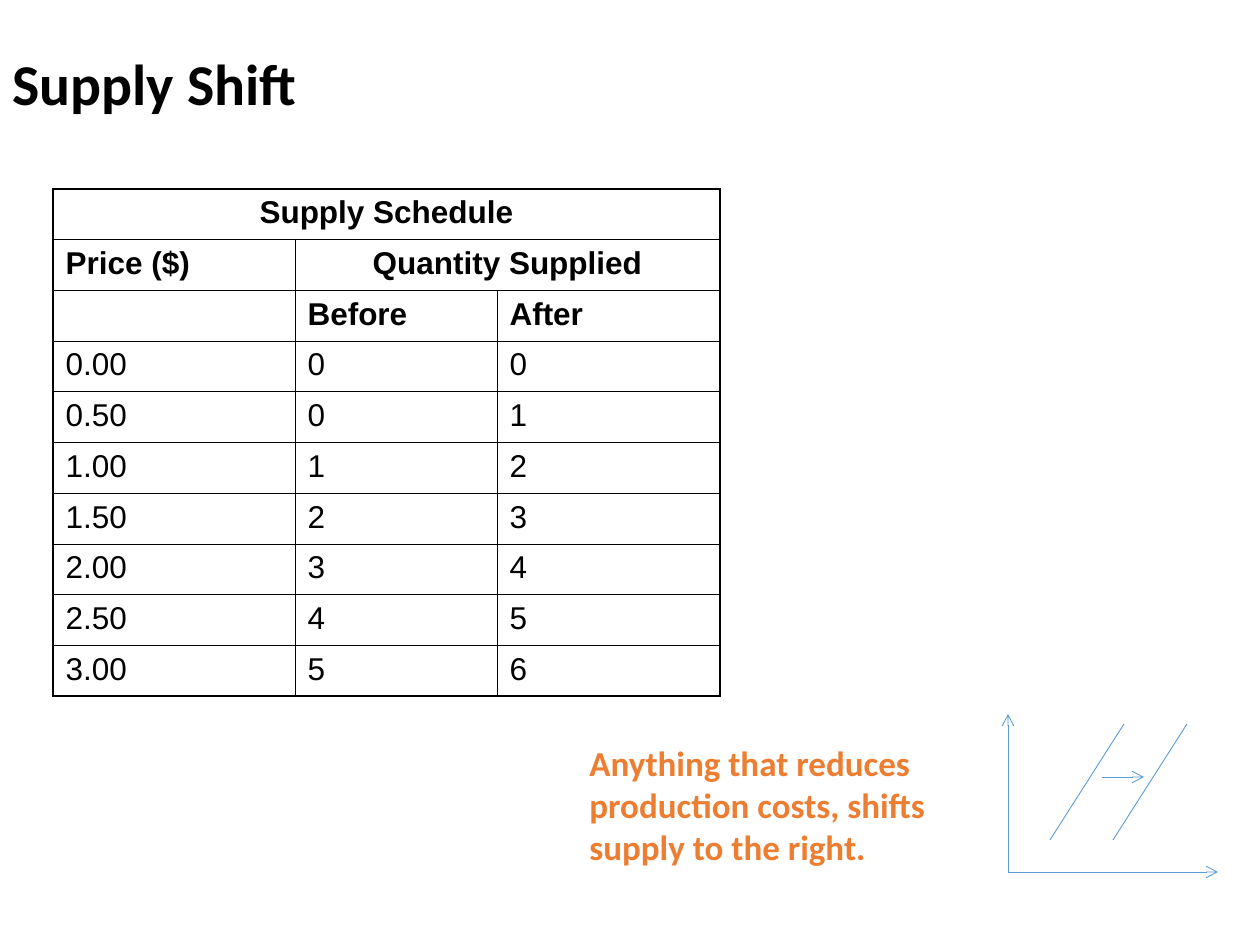
import pptx
import pptx.dml.color
import pptx.enum.shapes
import pptx.enum.text
import pptx.oxml.ns
import pptx.util
from lxml import etree

RGB = pptx.dml.color.RGBColor
BLACK = RGB(0x00, 0x00, 0x00)
ORANGE = RGB(0xED, 0x7D, 0x31)
BLUE = RGB(0x5B, 0x9B, 0xD5)
ALIGN = pptx.enum.text.PP_ALIGN
ANCHOR = pptx.enum.text.MSO_ANCHOR
SCALE = 914400 / 126

ROWS = [
    ["Supply Schedule", None, None],
    ["Price ($)", "Quantity Supplied", None],
    ["", "Before", "After"],
    ["0.00", "0", "0"],
    ["0.50", "0", "1"],
    ["1.00", "1", "2"],
    ["1.50", "2", "3"],
    ["2.00", "3", "4"],
    ["2.50", "4", "5"],
    ["3.00", "5", "6"],
]
HEADS = 3


def px(num):
    return pptx.util.Emu(round(num * SCALE))


def sub(node, tag, **attrs):
    return etree.SubElement(node, pptx.oxml.ns.qn(tag), **attrs)


class Deck:
    """Holds the style and the current slide."""

    thin, thick = 0.45, 1.08

    def __init__(self):
        self.prs = pptx.Presentation()
        self.prs.slide_width, self.prs.slide_height = px(1260), px(945)
        self.slide = self.prs.slides.add_slide(self.prs.slide_layouts[6])

    def run(self, para, text, size, font, color, bold):
        run = para.add_run()
        run.text = text
        run.font.size = pptx.util.Pt(size)
        run.font.name = font
        run.font.bold = bold
        run.font.color.rgb = color

    def text(self, x, y, w, h, text, size, color, anchor=ANCHOR.TOP, space=1):
        box = self.slide.shapes.add_textbox(px(x), px(y), px(w), px(h))
        frame = box.text_frame
        frame.word_wrap = True
        frame.vertical_anchor = anchor
        para = frame.paragraphs[0]
        para.line_spacing = space
        self.run(para, text, size, "Calibri", color, True)

    def edge(self, cell, side, width):
        line = sub(cell._tc.get_or_add_tcPr(), f"a:ln{side}",
                   w=str(pptx.util.Pt(width)))
        sub(sub(line, "a:solidFill"), "a:srgbClr", val=str(BLACK))

    def table(self, x, y, cols, high, rows):
        """Draw a ruled grid; None continues the cell to its left."""
        count, wide = len(rows), len(cols)
        table = self.slide.shapes.add_table(
            count, wide, px(x), px(y), px(sum(cols)), px(high)).table
        table.first_row = table.horz_banding = False
        for col, width in zip(table.columns, cols):
            col.width = px(width)
        for r, row in enumerate(rows):
            table.rows[r].height = px(high / count)
            for c, text in enumerate(row):
                cell = table.cell(r, c)
                if text is None:
                    continue
                end = c + 1
                while end < wide and row[end] is None:
                    end += 1
                if end > c + 1:
                    cell.merge(table.cell(r, end - 1))
                outer = {"L": c == 0, "R": end == wide,
                         "T": r == 0, "B": r == count - 1}
                for side, out in outer.items():
                    self.edge(cell, side, self.thick if out else self.thin)
                cell.fill.background()
                para = cell.text_frame.paragraphs[0]
                para.alignment = ALIGN.CENTER if end > c + 1 else ALIGN.LEFT
                if text:
                    self.run(para, text, 18, "Arial", BLACK, r < HEADS)

    def line(self, x1, y1, x2, y2, arrow=False):
        line = self.slide.shapes.add_connector(
            pptx.enum.shapes.MSO_CONNECTOR.STRAIGHT,
            px(x1), px(y1), px(x2), px(y2))
        line.line.color.rgb = BLUE
        line.line.width = pptx.util.Pt(0.5)
        props = line._element.spPr
        if arrow:
            sub(props.find(pptx.oxml.ns.qn("a:ln")), "a:tailEnd", type="arrow")
        sub(props, "a:effectLst")


def main():
    deck = Deck()
    deck.text(0, 32, 987, 110, "Supply Shift", 33, BLACK, ANCHOR.MIDDLE, 0.9)
    deck.table(53, 189, [242, 202, 223], 507, ROWS)
    deck.text(577, 735, 441, 139,
              "Anything that reduces production costs, shifts supply to the right.",
              20, ORANGE)
    deck.line(1008, 872, 1008, 714, arrow=True)
    deck.line(1008, 872, 1218, 872, arrow=True)
    for x in (1050, 1113):
        deck.line(x + 74, 724, x, 840)
    deck.line(1102, 777, 1144, 777, arrow=True)
    deck.prs.save("out.pptx")


if __name__ == "__main__":
    main()
